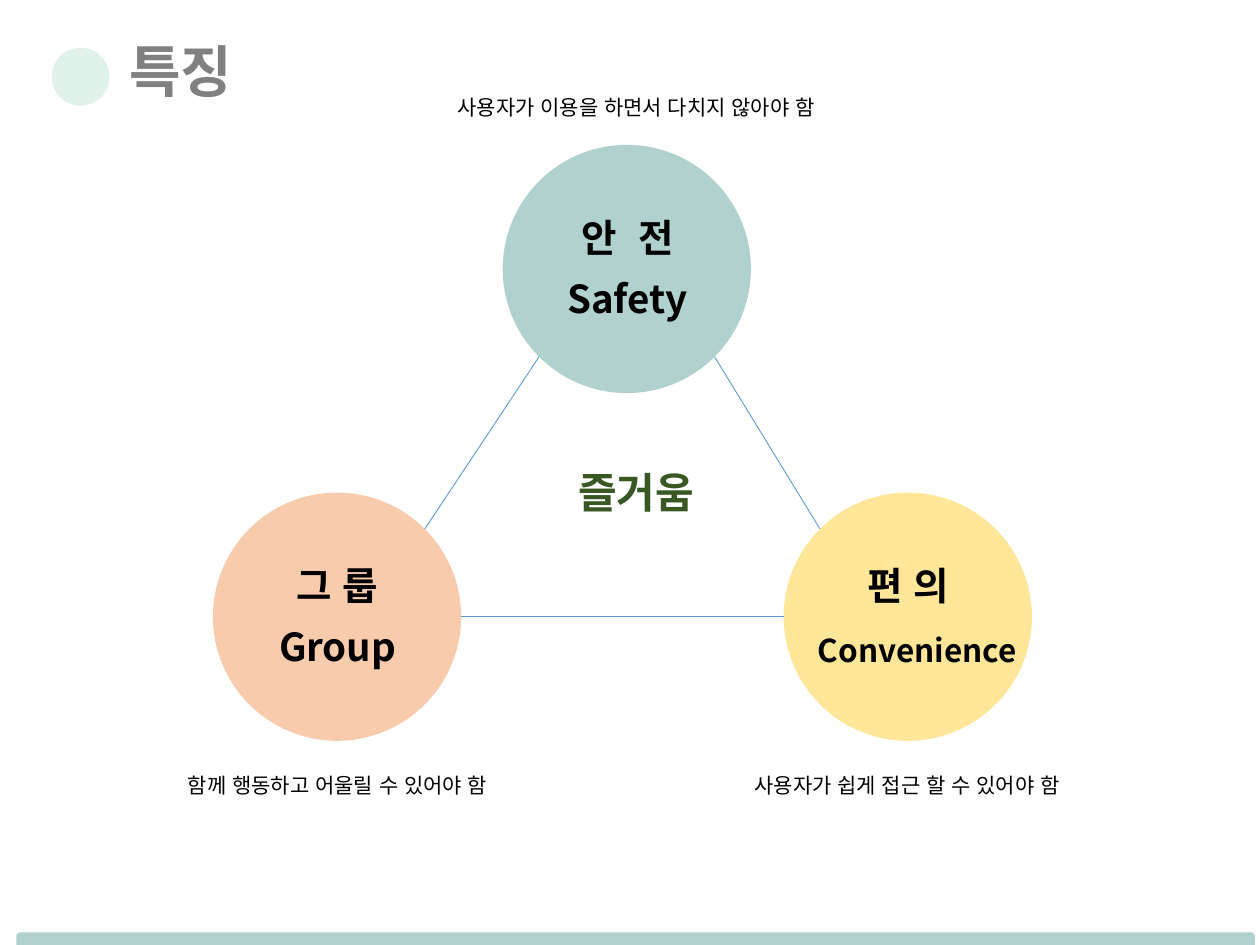
import math

import pptx
import pptx.dml.color
import pptx.enum.lang
import pptx.enum.shapes
import pptx.enum.text
import pptx.util
from lxml import etree
from pptx.util import Inches

SHAPES = pptx.enum.shapes.MSO_SHAPE
ALIGN = pptx.enum.text.PP_ALIGN
DRAWING = "{http://schemas.openxmlformats.org/drawingml/2006/main}"
BODY_FONT = "Noto Sans CJK KR"
DIAMETER = 1.97


def color(value):
    """Return the colour for a hex string."""
    return pptx.dml.color.RGBColor.from_string(value)


def fill_text(shape, text, size, font_name, text_color, bold=False, align=ALIGN.CENTER):
    """Write one formatted run into a shape, centred vertically."""
    frame = shape.text_frame
    frame.word_wrap = True
    frame.auto_size = pptx.enum.text.MSO_AUTO_SIZE.NONE
    frame.vertical_anchor = pptx.enum.text.MSO_ANCHOR.MIDDLE
    paragraph = frame.paragraphs[0]
    paragraph.alignment = align
    run = paragraph.add_run()
    run.text = text
    run.font.size = pptx.util.Pt(size)
    run.font.bold = bold
    run.font.name = font_name
    run.font.language_id = pptx.enum.lang.MSO_LANGUAGE_ID.KOREAN
    run.font.color.rgb = color(text_color)
    etree.SubElement(run.font._element, DRAWING + "ea", typeface=font_name)
    return run


def add_label(shapes, box, text, size, font_name=BODY_FONT, text_color="000000", bold=True):
    """Add a centred text box."""
    label = shapes.add_textbox(*map(Inches, box))
    fill_text(label, text, size, font_name, text_color, bold)


def add_filled(shapes, kind, box, fill):
    """Add a flat preset shape without outline."""
    shape = shapes.add_shape(kind, *map(Inches, box))
    shape.shadow.inherit = False
    shape.fill.solid()
    shape.fill.fore_color.rgb = color(fill)
    shape.line.fill.background()
    return shape


def add_title(slide, left, top):
    """Place the slide title and its round marker."""
    title = slide.shapes.title
    title.left, title.top = Inches(left), Inches(top)
    title.width, title.height = Inches(1.96), Inches(0.88)
    frame = title.text_frame
    frame.margin_left, frame.margin_top = Inches(0.91), Inches(0.2)
    frame.margin_right = frame.margin_bottom = 0
    run = fill_text(title, "특징", 32, "Arial", "808080", True, ALIGN.LEFT)
    run.font._element.set("spc", "-50")
    add_filled(slide.shapes, SHAPES.OVAL, (left + 0.29, top + 0.36, 0.46, 0.46), "E1F2EA")


def add_feature(slide, left, top, fill, korean, english, english_box, english_size):
    """Place a feature circle with its Korean and English names."""
    shapes = slide.shapes.add_group_shape().shapes
    add_filled(shapes, SHAPES.OVAL, (left, top, DIAMETER, DIAMETER), fill)
    add_label(shapes, (left + 0.31, top + 0.47, 1.36, 0.53), korean, 22)
    offset_x, offset_y, width = english_box
    add_label(shapes, (left + offset_x, top + offset_y, width, 0.53), english, english_size)


def rim_point(left, top, degrees):
    """Return the point on a circle's rim at a clockwise angle from the right."""
    radius = DIAMETER / 2
    angle = math.radians(degrees)
    return left + radius * (1 + math.cos(angle)), top + radius * (1 + math.sin(angle))


def add_link(slide, start, end):
    """Draw a thin line between two points."""
    link = slide.shapes.add_connector(
        pptx.enum.shapes.MSO_CONNECTOR.STRAIGHT, *map(Inches, (*start, *end)))
    link.line.color.rgb = color("5B9BD5")
    link.line.width = pptx.util.Pt(0.5)
    etree.SubElement(link._element.spPr, DRAWING + "effectLst")


def add_triangle(slide):
    """Place the three features, their links, the centre word and the captions."""
    safety, convenience, group = (3.99, 1.15), (6.22, 3.91), (1.69, 3.91)
    add_feature(slide, *safety, "B1D1CE", "안  전", "Safety", (0.31, 0.95, 1.36), 22)
    add_feature(slide, *convenience, "FFE699", "편 의", "Convenience", (0.15, 0.98, 1.82), 18)
    add_feature(slide, *group, "F8CBAD", "그 룹", "Group", (0.31, 0.95, 1.36), 22)
    add_label(slide.shapes, (4.37, 3.54, 1.36, 0.73), "즐거움", 24, text_color="385723")
    add_link(slide, rim_point(*safety, 135), rim_point(*group, 315))
    add_link(slide, rim_point(*safety, 45), rim_point(*convenience, 225))
    add_link(slide, rim_point(*group, 0), rim_point(*convenience, 180))
    captions = [
        (3.26, 0.34, "사용자가 이용을 하면서 다치지 않아야 함"),
        (0.89, 5.72, "함께 행동하고 어울릴 수 있어야 함"),
        (5.41, 5.72, "사용자가 쉽게 접근 할 수 있어야 함"),
    ]
    for left, top, text in captions:
        add_label(slide.shapes, (left, top, 3.58, 1.02), text, 12, "Arial", bold=False)


def main():
    """Build and save the slide."""
    presentation = pptx.Presentation()
    presentation.slide_width, presentation.slide_height = Inches(10), Inches(7.5)
    slide = presentation.slides.add_slide(presentation.slide_layouts[5])
    footer = add_filled(
        slide.shapes, SHAPES.ROUND_2_SAME_RECTANGLE, (0.13, 7.4, 9.83, 0.1), "B1D1CE")
    footer.adjustments[0] = 0.3
    add_title(slide, 0.12, 0.02)
    add_triangle(slide)
    presentation.save("out.pptx")


if __name__ == "__main__":
    main()
